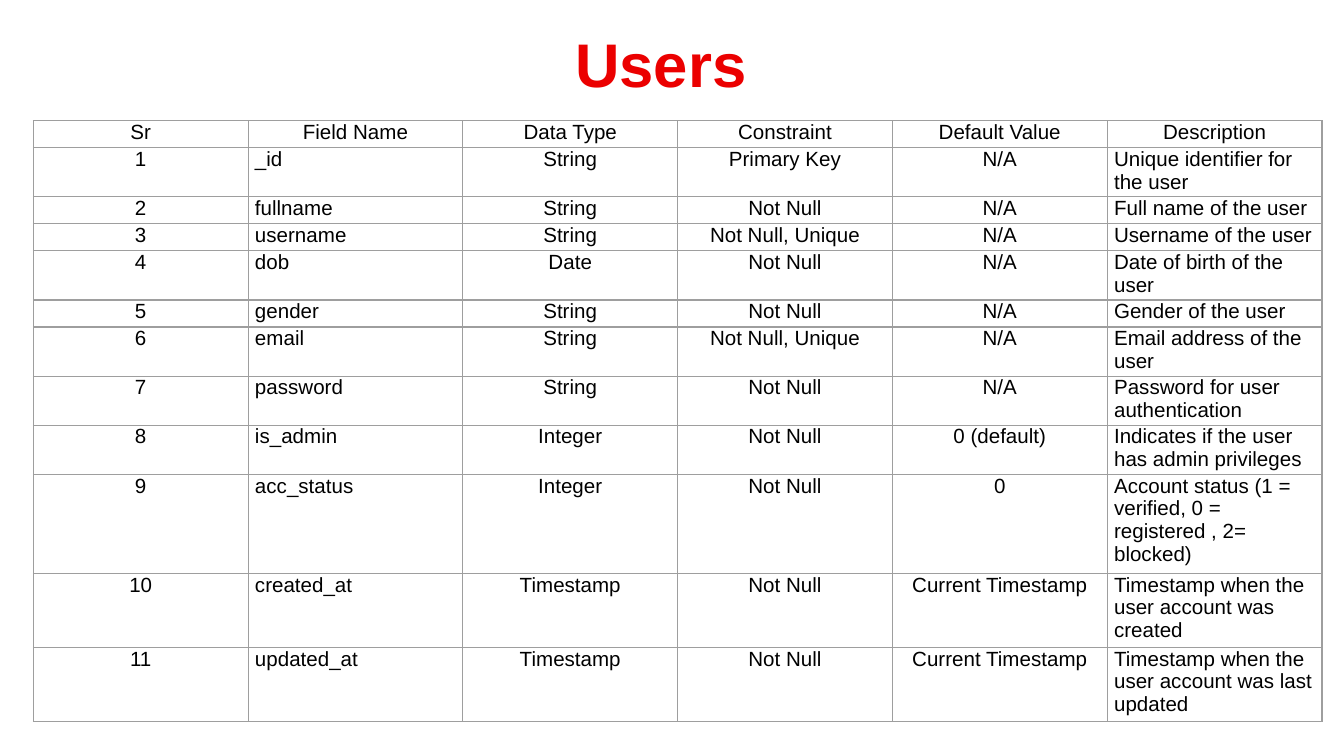
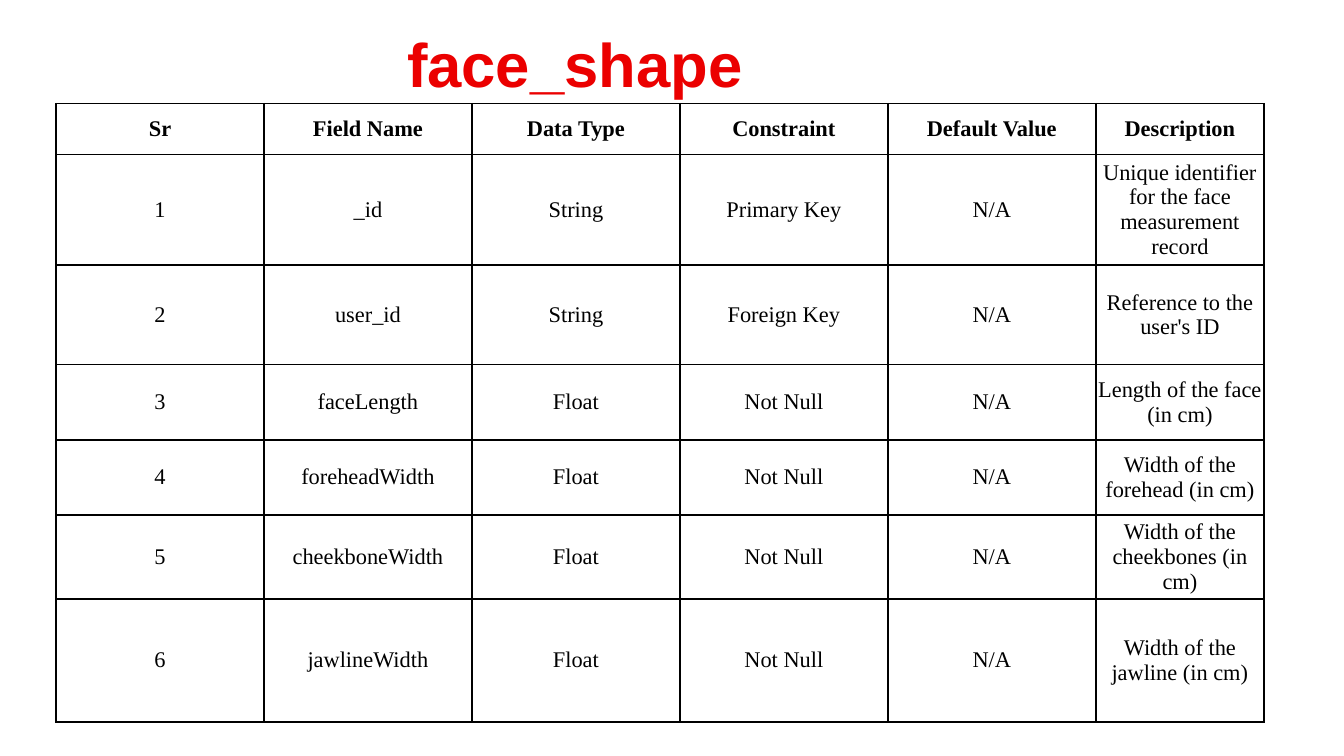
from lxml import etree
from pptx import Presentation
from pptx.dml.color import RGBColor
from pptx.enum.text import MSO_ANCHOR as Anchor, MSO_AUTO_SIZE as AutoSize, PP_ALIGN as Align
from pptx.oxml.ns import qn
from pptx.util import Cm, Pt

RED = RGBColor(0xEB, 0x00, 0x00)
BLACK = RGBColor(0x00, 0x00, 0x00)
GRAY = RGBColor(0x9E, 0x9E, 0x9E)
WHITE = RGBColor(0xFF, 0xFF, 0xFF)

# Content: the serial number is added to each field by position
HEADER = ("Sr", "Field Name", "Data Type", "Constraint", "Default Value", "Description")
USER_FIELDS = [
    ("_id", "String", "Primary Key", "N/A", "Unique identifier for the user"),
    ("fullname", "String", "Not Null", "N/A", "Full name of the user"),
    ("username", "String", "Not Null, Unique", "N/A", "Username of the user"),
    ("dob", "Date", "Not Null", "N/A", "Date of birth of the user"),
    ("gender", "String", "Not Null", "N/A", "Gender of the user"),
    ("email", "String", "Not Null, Unique", "N/A", "Email address of the user"),
    ("password", "String", "Not Null", "N/A", "Password for user authentication"),
    ("is_admin", "Integer", "Not Null", "0 (default)", "Indicates if the user has admin privileges"),
    ("acc_status", "Integer", "Not Null", "0",
     "Account status (1 = verified, 0 = registered , 2= blocked)"),
    ("created_at", "Timestamp", "Not Null", "Current Timestamp",
     "Timestamp when the user account was created"),
    ("updated_at", "Timestamp", "Not Null", "Current Timestamp",
     "Timestamp when the user account was last updated"),
]
FACE_FIELDS = [
    ("_id", "String", "Primary Key", "N/A", "Unique identifier for the face measurement record"),
    ("user_id", "String", "Foreign Key", "N/A", "Reference to the user's ID"),
    ("faceLength", "Float", "Not Null", "N/A", "Length of the face (in cm)"),
    ("foreheadWidth", "Float", "Not Null", "N/A", "Width of the forehead (in cm)"),
    ("cheekboneWidth", "Float", "Not Null", "N/A", "Width of the cheekbones (in cm)"),
    ("jawlineWidth", "Float", "Not Null", "N/A", "Width of the jawline (in cm)"),
]

# Row height in cm for each number of lines in the user table
LINE_HEIGHTS = {1: 0.51, 2: 0.93, 3: 1.4, 4: 1.87}
USER_LINES = (1, 2, 1, 1, 2, 1, 2, 2, 2, 4, 3, 3)

# Lengths in cm; margins are (horizontal, vertical)
SLIDES = [
    dict(title="Users", title_left=10.6, title_width=3.78, fields=USER_FIELDS,
         left=0.63, top=2.28, columns=[4.06] * 6,
         rows=[LINE_HEIGHTS[lines] for lines in USER_LINES],
         font="Arial", size=11, bold_header=False, left_columns=(1, 5),
         anchor=Anchor.TOP, margins=(0.13, 0), border=(GRAY, 0.75)),
    dict(title="face_shape", title_left=7.41, title_width=6.91, fields=FACE_FIELDS,
         left=1.06, top=1.96, columns=[3.93] * 5 + [3.18],
         rows=[0.96, 1.93, 1.88, 1.42, 1.42, 1.47, 2.33],
         font="Times New Roman", size=12, bold_header=True, left_columns=(),
         anchor=Anchor.MIDDLE, margins=(0.03, 0.03), border=(BLACK, 1)),
]


def add_line(parent, tag, color, width):
    line = etree.SubElement(parent, qn(tag), w=str(Pt(width)))
    fill = etree.SubElement(line, qn("a:solidFill"))
    etree.SubElement(fill, qn("a:srgbClr"), val=str(color))
    return line


def add_title(slide, design):
    box = slide.shapes.add_textbox(Cm(design["title_left"]), Cm(0.36),
                                   Cm(design["title_width"]), Cm(1.68))
    frame = box.text_frame
    frame.word_wrap = False
    frame.auto_size = AutoSize.SHAPE_TO_FIT_TEXT
    paragraph = frame.paragraphs[0]
    paragraph.alignment = Align.CENTER
    run = paragraph.add_run()
    run.text = design["title"]
    run.font.name, run.font.size, run.font.bold = "Arial", Pt(33), True
    run.font.color.rgb = RED
    # The outline has to precede the text fill
    properties = run.font._element
    properties.insert(0, add_line(properties, "a:ln", WHITE, 1.4))


def fill_cell(cell, text, design, is_header, is_left):
    cell.text = text
    cell.vertical_anchor = design["anchor"]
    horizontal, vertical = map(Cm, design["margins"])
    cell.margin_left = cell.margin_right = horizontal
    cell.margin_top = cell.margin_bottom = vertical
    paragraph = cell.text_frame.paragraphs[0]
    paragraph.alignment = Align.LEFT if is_left else Align.CENTER
    font = paragraph.font
    font.name, font.size = design["font"], Pt(design["size"])
    font.bold = is_header and design["bold_header"]
    font.color.rgb = BLACK
    # Borders come before the fill in the cell properties
    for tag in ("a:lnL", "a:lnR", "a:lnT", "a:lnB"):
        add_line(cell._tc.get_or_add_tcPr(), tag, *design["border"])
    cell.fill.background()


def add_field_table(slide, design):
    records = [HEADER] + [(str(number), *field)
                          for number, field in enumerate(design["fields"], 1)]
    shape = slide.shapes.add_table(len(records), len(HEADER), Cm(design["left"]), Cm(design["top"]),
                                   Cm(sum(design["columns"])), Cm(sum(design["rows"])))
    table = shape.table
    table.first_row = table.horz_banding = False
    for column, width in zip(table.columns, design["columns"]):
        column.width = Cm(width)
    for row, height in zip(table.rows, design["rows"]):
        row.height = Cm(height)
    for row_index, record in enumerate(records):
        for column_index, text in enumerate(record):
            is_header = row_index == 0
            is_left = not is_header and column_index in design["left_columns"]
            fill_cell(table.cell(row_index, column_index), text, design, is_header, is_left)


def main():
    presentation = Presentation()
    presentation.slide_width, presentation.slide_height = Cm(25.4), Cm(14.29)
    for design in SLIDES:
        slide = presentation.slides.add_slide(presentation.slide_layouts[6])
        add_field_table(slide, design)
        add_title(slide, design)
    presentation.save("out.pptx")


if __name__ == "__main__":
    main()
